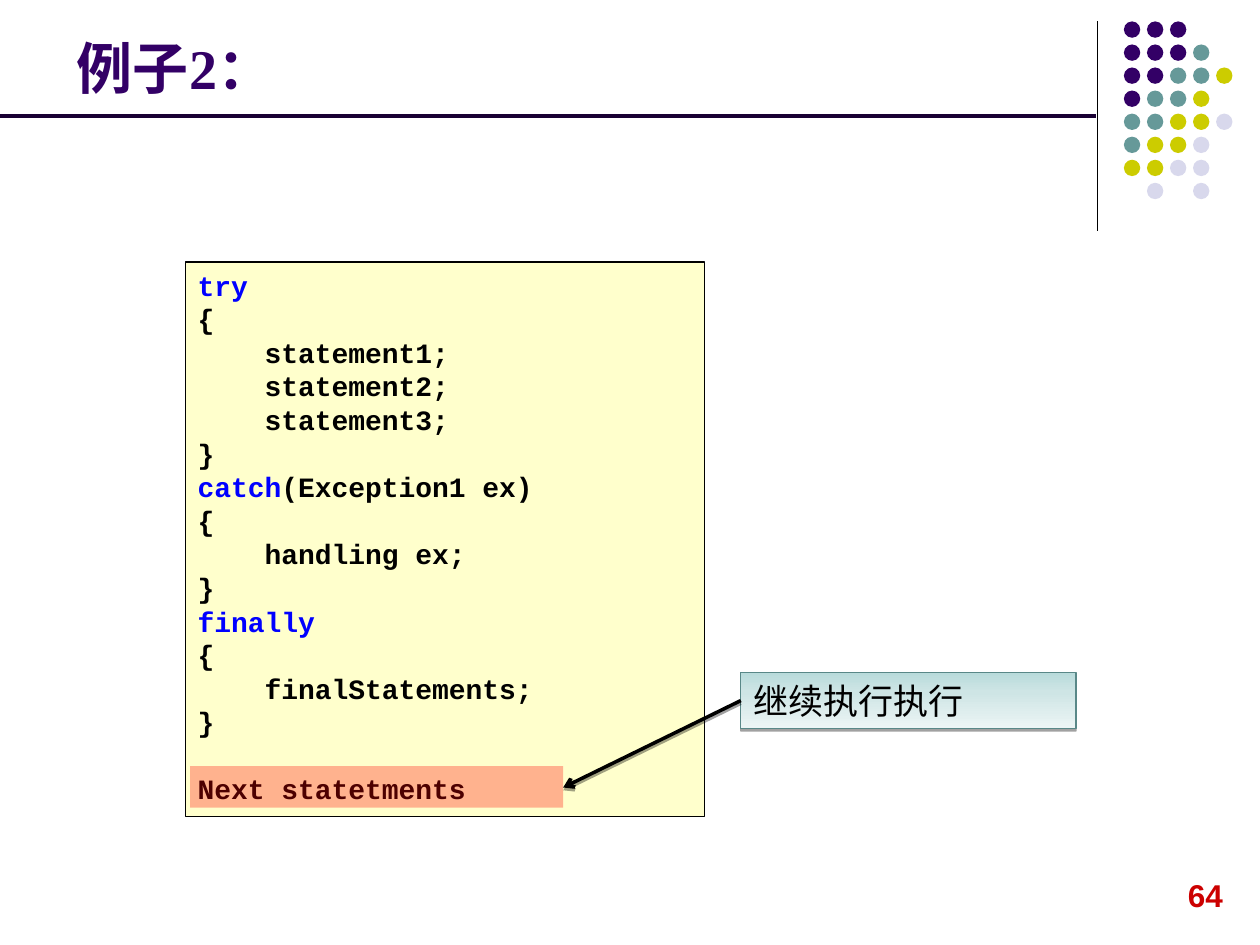
from copy import deepcopy

from lxml.etree import SubElement
from pptx import Presentation
from pptx.dml.color import RGBColor
from pptx.enum.shapes import MSO_CONNECTOR as Connector, MSO_SHAPE as Shape
from pptx.enum.text import MSO_ANCHOR as Anchor, PP_ALIGN as Align
from pptx.oxml.ns import qn
from pptx.util import Inches, Pt

BLACK = RGBColor(0x00, 0x00, 0x00)
PURPLE = RGBColor(0x33, 0x00, 0x66)
DARK_PURPLE = RGBColor(0x19, 0x00, 0x33)
TEAL = RGBColor(0x66, 0x99, 0x99)
OLIVE = RGBColor(0xCC, 0xCC, 0x00)
LAVENDER = RGBColor(0xD8, 0xD8, 0xEC)
CREAM = RGBColor(0xFF, 0xFF, 0xCC)
KEYWORD_BLUE = RGBColor(0x00, 0x00, 0xFF)
RED = RGBColor(0xFF, 0x00, 0x00)
NUMBER_RED = RGBColor(0xCC, 0x00, 0x00)
NOTE_EDGE = RGBColor(0x59, 0x88, 0x88)
NOTE_STOPS = [
    (0, RGBColor(0xB9, 0xDB, 0xDB)),
    (0.35, RGBColor(0xCE, 0xE5, 0xE5)),
    (1, RGBColor(0xEC, 0xF5, 0xF5)),
]

DOT_COLORS = {"P": PURPLE, "T": TEAL, "O": OLIVE, "L": LAVENDER}
DOT_ROWS = ["PPP", "PPPT", "PPTTO", "PTTO", "TTOOL", "TOOL", "OOLL", "-L-L"]
KEYWORDS = ("try", "catch", "finally")
CODE = """try
{
    statement1;
    statement2;
    statement3;
}
catch(Exception1 ex)
{
    handling ex;
}
finally
{
    finalStatements;
}
Next statetments"""


class SlideBuilder:
    """Draws styled elements on one slide, measured on a grid of 100 columns by 75 rows."""

    cell = Inches(0.1)
    cjk_font = "Noto Sans CJK SC"
    code_pitch = Pt(19.2)

    def __init__(self, deck):
        deck.slide_width, deck.slide_height = 100 * self.cell, 75 * self.cell
        self.slide = deck.slides.add_slide(deck.slide_layouts[5])

    def grid(self, *cells):
        return [round(count * self.cell) for count in cells]

    def style(self, span, size, font, color, bold=True):
        span.font.size, span.font.name, span.font.bold = Pt(size), font, bold
        span.font.color.rgb = color
        SubElement(span.font._element, qn("a:ea")).set("typeface", self.cjk_font)

    def shadow(self, item):
        effects = item._element.spPr.find(qn("a:effectLst"))
        outer = SubElement(effects, qn("a:outerShdw"), blurRad="0", dist="20000",
                           dir="5400000", rotWithShape="0")
        color = SubElement(outer, qn("a:srgbClr"), val="000000")
        SubElement(color, qn("a:alpha"), val="37000")

    def title(self, text, *cells):
        box = self.slide.shapes.title
        box.left, box.top, box.width, box.height = self.grid(*cells)
        box.text_frame.text = text
        box.text_frame.vertical_anchor = Anchor.BOTTOM
        para = box.text_frame.paragraphs[0]
        para.alignment = Align.LEFT
        self.style(para.runs[0], 32, "Times New Roman", PURPLE)

    def label(self, text, *cells):
        box = self.slide.shapes.add_textbox(*self.grid(*cells))
        box.text_frame.word_wrap = False
        box.text_frame.text = text
        self.style(box.text_frame.paragraphs[0].runs[0], 18, "Arial", NUMBER_RED)

    def shape(self, kind, color, *cells, edge=None, alpha=None):
        box = self.slide.shapes.add_shape(kind, *self.grid(*cells))
        box.shadow.inherit = False
        box.fill.solid()
        box.fill.fore_color.rgb = color
        if alpha:
            fill_color = box._element.spPr.find(qn("a:solidFill"))[0]
            SubElement(fill_color, qn("a:alpha"), val=str(alpha * 1000))
        if edge is None:
            box.line.fill.background()
        else:
            box.line.color.rgb = edge
            box.line.width = Pt(0.75)
        return box

    def line(self, color, width, *cells, arrow=False):
        line = self.slide.shapes.add_connector(Connector.STRAIGHT, *self.grid(*cells))
        line.line.color.rgb, line.line.width = color, Pt(width)
        SubElement(line._element.spPr, qn("a:effectLst"))
        if arrow:
            SubElement(line.line._get_or_add_ln(), qn("a:tailEnd"), type="arrow")
            self.shadow(line)

    def dots(self, left, top, pitch, size):
        for row, marks in enumerate(DOT_ROWS):
            for column, mark in enumerate(marks):
                if mark in DOT_COLORS:
                    self.shape(Shape.OVAL, DOT_COLORS[mark], left + column * pitch,
                               top + row * pitch, size, size)

    def code(self, text, *cells):
        frame = self.shape(Shape.RECTANGLE, CREAM, *cells, edge=BLACK).text_frame
        frame.word_wrap = False
        frame.vertical_anchor = Anchor.TOP
        for index, line in enumerate(text.split("\n")):
            para = frame.add_paragraph() if index else frame.paragraphs[0]
            para.alignment, para.line_spacing = Align.LEFT, self.code_pitch
            keyword = next((word for word in KEYWORDS if line.startswith(word)), "")
            parts = [(keyword, KEYWORD_BLUE), (line[len(keyword):], BLACK)]
            for part, color in parts:
                if part:
                    span = para.add_run()
                    span.text = part
                    self.style(span, 16, "Courier New", color)
        para.space_before = self.code_pitch

    def note(self, text, *cells):
        box = self.shape(Shape.RECTANGLE, CREAM, *cells, edge=NOTE_EDGE)
        box.fill.gradient()
        box.fill.gradient_angle = 270
        stop_list = box._element.spPr.find(qn("a:gradFill")).find(qn("a:gsLst"))
        stop_list.append(deepcopy(stop_list[0]))
        for stop, (position, color) in zip(box.fill.gradient_stops, NOTE_STOPS):
            stop.position, stop.color.rgb = position, color
        self.shadow(box)
        box.text_frame.text = text
        box.text_frame.vertical_anchor = Anchor.TOP
        para = box.text_frame.paragraphs[0]
        para.alignment = Align.LEFT
        self.style(para.runs[0], 20, self.cjk_font, BLACK, bold=False)


def main():
    deck = Presentation()
    page = SlideBuilder(deck)
    page.line(BLACK, 0.75, 87.1, 1.7, 87.1, 18.3)
    page.dots(left=89.2, top=1.7, pitch=1.83, size=1.3)
    page.label("64", 93.3, 69, 4.8, 4)
    page.title("例子2：", 5.1, 2.1, 81.9, 6.4)
    page.code(CODE, 14.7, 20.8, 41.2, 44)
    page.shape(Shape.RECTANGLE, RED, 15.1, 60.8, 29.6, 3.3, alpha=30)
    page.note("继续执行执行", 58.8, 53.4, 26.6, 4.4)
    page.line(BLACK, 2, 58.8, 55.6, 44.7, 62.5, arrow=True)
    page.line(DARK_PURPLE, 2.25, 0, 9.2, 87, 9.2)
    deck.save("out.pptx")


if __name__ == "__main__":
    main()
